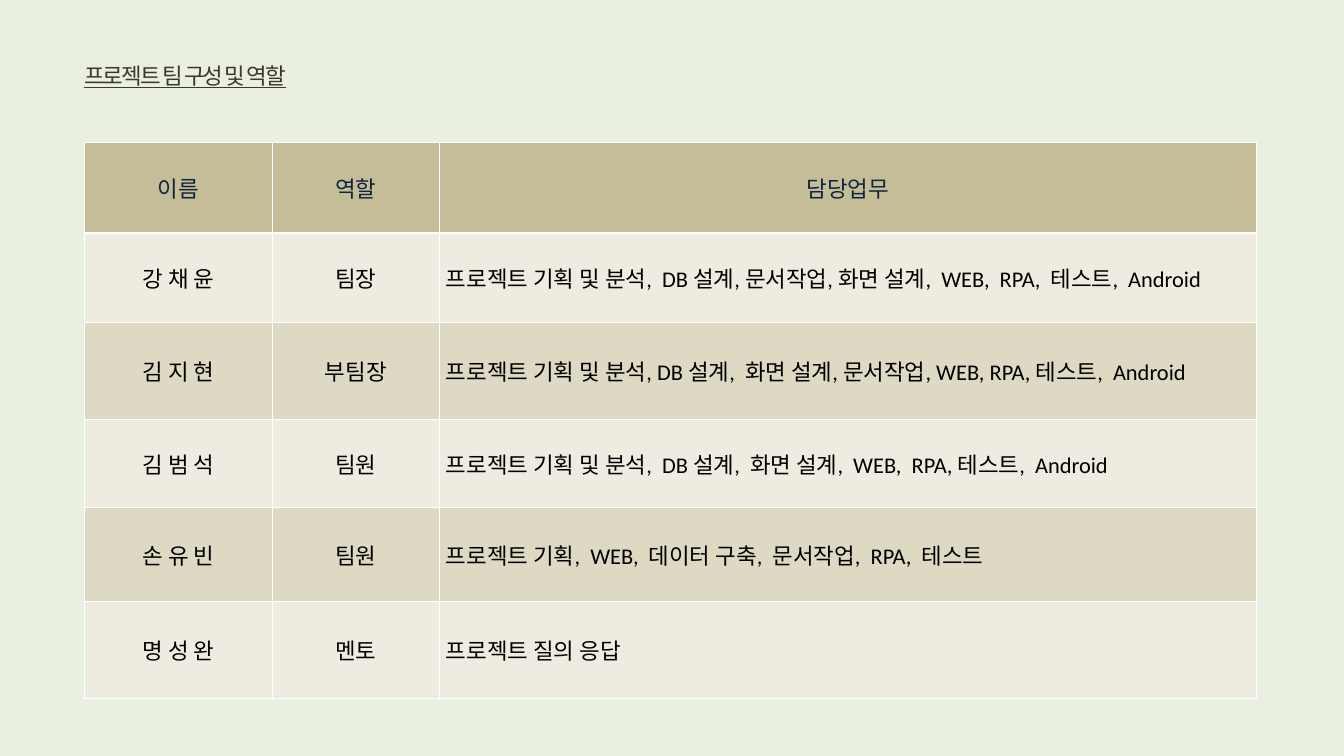
from lxml.etree import SubElement as Sub
from pptx import Presentation
from pptx.dml.color import RGBColor as Rgb
from pptx.enum.text import MSO_ANCHOR as Anchor, MSO_AUTO_SIZE as Auto, PP_ALIGN as Align
from pptx.oxml.ns import qn
from pptx.util import Cm, Pt

TITLE = "프로젝트 팀 구성 및 역할"
HEAD = ("이름", "역할", "담당업무")
TEAM = [
    ("강 채 윤", "팀장", "프로젝트 기획 및 분석,  DB 설계, 문서작업, 화면 설계,  WEB,  RPA,  테스트,  Android"),
    ("김 지 현", "부팀장", "프로젝트 기획 및 분석, DB 설계,  화면 설계, 문서작업, WEB, RPA, 테스트,  Android"),
    ("김 범 석", "팀원", "프로젝트 기획 및 분석,  DB 설계,  화면 설계,  WEB,  RPA, 테스트,  Android"),
    ("손 유 빈", "팀원", "프로젝트 기획,  WEB,  데이터 구축,  문서작업,  RPA,  테스트"),
    ("명 성 완", "멘토", "프로젝트 질의 응답"),
]
COLS = (7.1, 6.3, 30.9)
ROWS = (3.43, 3.37, 3.68, 3.32, 3.55, 3.68)
COLORS = {
    "page": "E9EFE1", "title": "3E372E", "head": "C4BD97", "navy": "0F243E",
    "odd": "EEECE1", "even": "DDD9C3", "text": "000000", "line": "FFFFFF",
}


def color(name):
    """Return the named colour."""
    return Rgb.from_string(COLORS[name])


def write(frame, text, font="Calibri", ink="text", align=Align.CENTER, under=None, gap=None):
    """Write one formatted run into a text frame."""
    para = frame.paragraphs[0]
    para.alignment = align
    para.line_spacing = 1.0
    run = para.add_run()
    run.text = text
    run.font.name, run.font.size = font, Pt(24)
    run.font.bold, run.font.underline = False, under
    run.font.color.rgb = color(ink)
    if gap is not None:
        run.font._element.set("spc", str(gap * 100))


def border(cell, base):
    """Draw the four cell borders, the bottom one base points wide."""
    props = cell._tc.get_or_add_tcPr()
    for side, width in (("L", 1), ("R", 1), ("T", 1), ("B", base)):
        line = Sub(props, qn(f"a:ln{side}"), w=str(Pt(width)))
        Sub(Sub(line, qn("a:solidFill")), qn("a:srgbClr"), val=COLORS["line"])


def add_title(slide):
    """Place and format the slide title."""
    title = slide.shapes.title
    title.left, title.top, title.width, title.height = Cm(3.18), Cm(1.09), Cm(24.59), Cm(3.53)
    frame = title.text_frame
    frame.margin_left = frame.margin_right = frame.margin_top = frame.margin_bottom = 0
    frame.vertical_anchor, frame.auto_size, frame.word_wrap = Anchor.MIDDLE, Auto.NONE, True
    write(frame, TITLE, font="Arial", ink="title", align=Align.LEFT, under=True, gap=-2)


def add_team(slide):
    """Build the table of members, roles and tasks."""
    table = slide.shapes.add_table(
        len(ROWS), len(COLS), Cm(3.2), Cm(5.38), Cm(sum(COLS)), Cm(sum(ROWS))).table
    for col, width in zip(table.columns, COLS):
        col.width = Cm(width)
    for row, height in zip(table.rows, ROWS):
        row.height = Cm(height)
    for r, texts in enumerate([HEAD, *TEAM]):
        fill = "head" if r == 0 else "odd" if r % 2 else "even"
        for c, text in enumerate(texts):
            cell = table.cell(r, c)
            border(cell, 1 if r else 3)
            cell.fill.solid()
            cell.fill.fore_color.rgb = color(fill)
            cell.vertical_anchor = Anchor.MIDDLE
            write(cell.text_frame, text, ink="text" if r else "navy",
                  align=Align.LEFT if r and c == 2 else Align.CENTER)


def main():
    """Build and save the slide."""
    deck = Presentation()
    deck.slide_width, deck.slide_height = Cm(50.8), Cm(28.58)
    slide = deck.slides.add_slide(deck.slide_layouts[5])
    slide.background.fill.solid()
    slide.background.fill.fore_color.rgb = color("page")
    add_title(slide)
    add_team(slide)
    deck.save("out.pptx")


if __name__ == "__main__":
    main()
